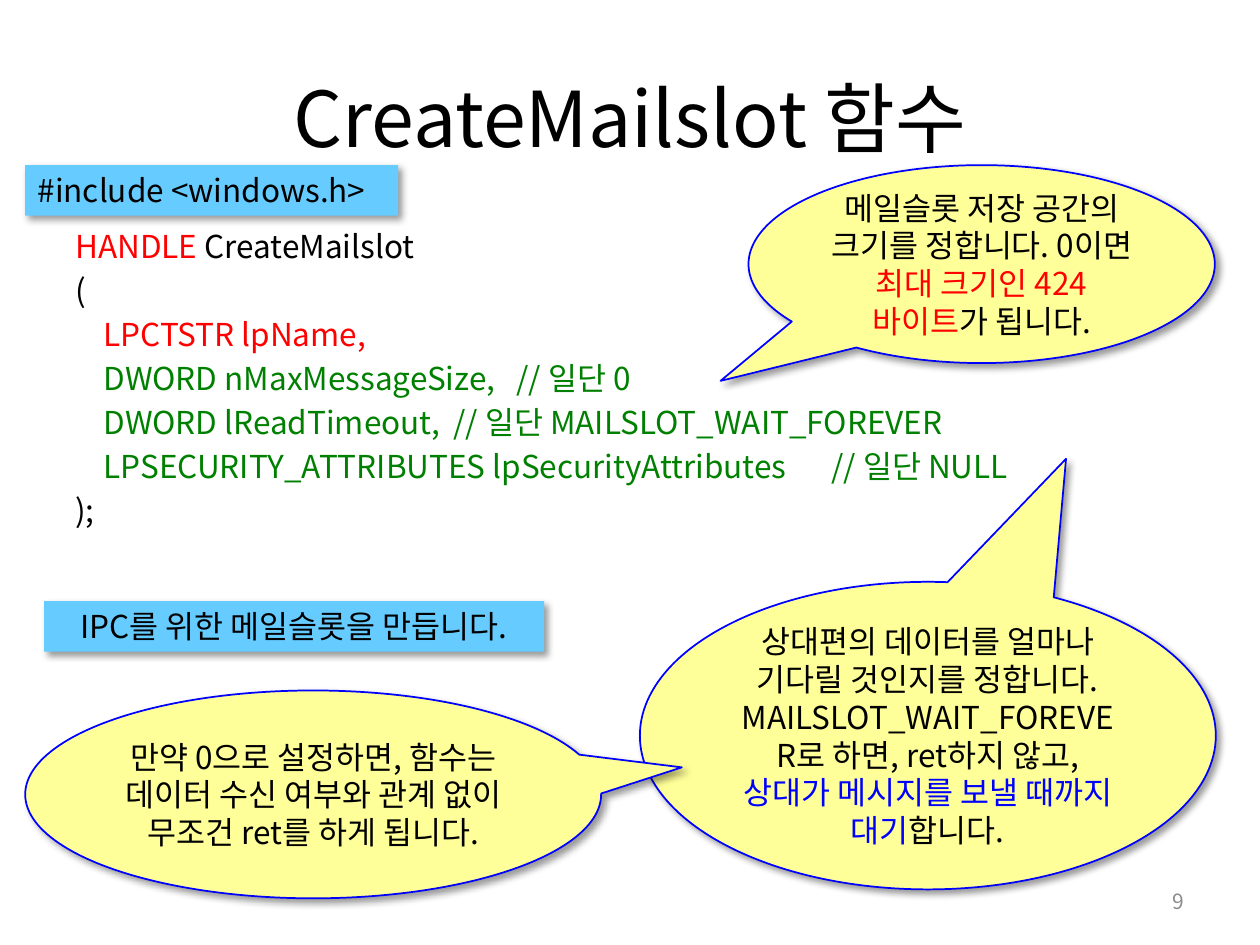
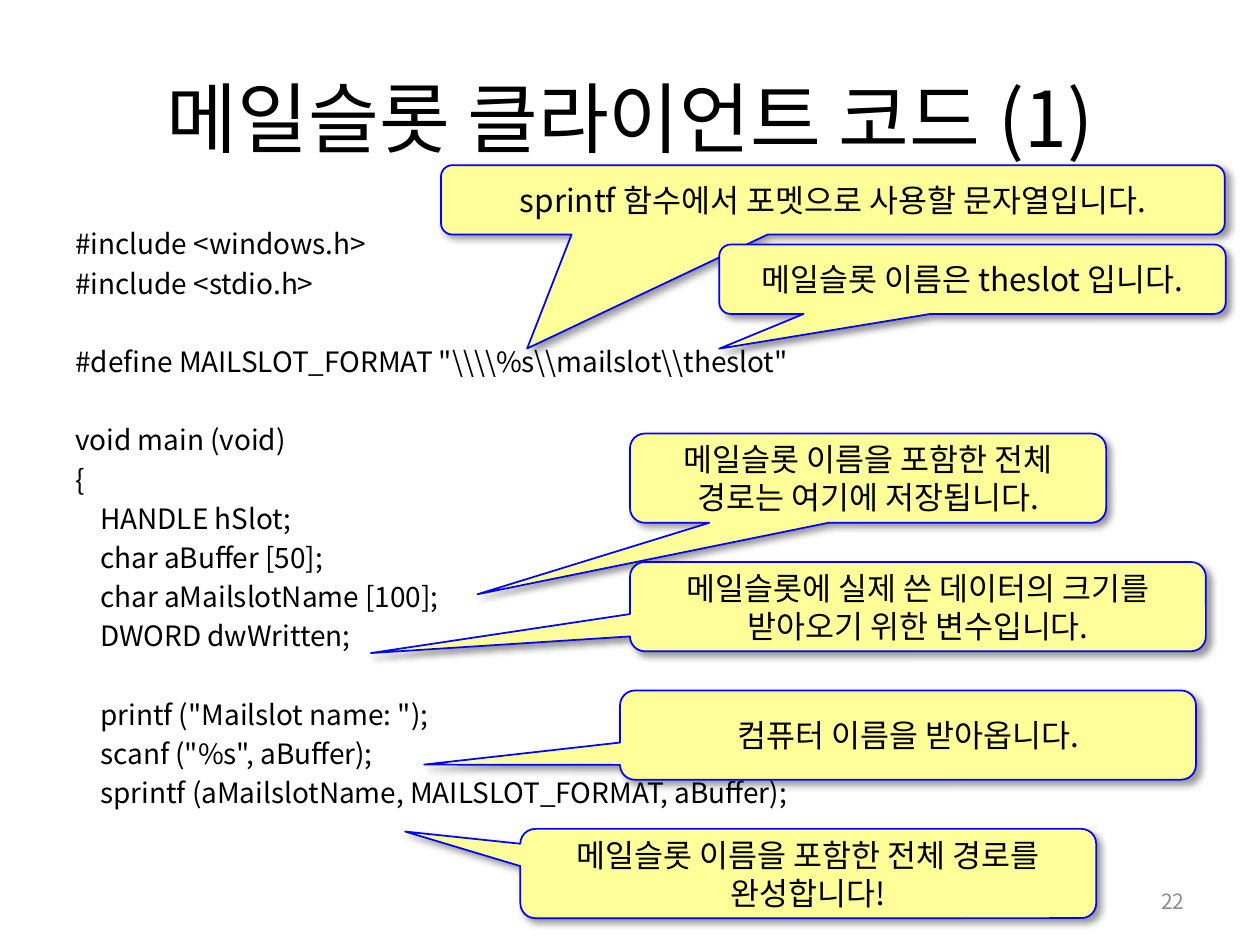
"""Build two lecture slides on mailslots: the create function and the client code."""
from lxml import etree
from pptx import Presentation
from pptx.dml.color import RGBColor
from pptx.enum.shapes import MSO_SHAPE
from pptx.enum.text import MSO_ANCHOR, PP_ALIGN
from pptx.oxml.ns import qn
from pptx.util import Cm, Pt

RECT = MSO_SHAPE.RECTANGLE
ELLIPSE = MSO_SHAPE.OVAL_CALLOUT
ROUNDED = MSO_SHAPE.ROUNDED_RECTANGULAR_CALLOUT
LEFT, CENTER, RIGHT = PP_ALIGN.LEFT, PP_ALIGN.CENTER, PP_ALIGN.RIGHT
TOP, MIDDLE = MSO_ANCHOR.TOP, MSO_ANCHOR.MIDDLE

FONT = "Noto Sans CJK KR"
LINE_HEIGHT = 1.2
PARAGRAPH_GAP = 0.2
COLORS = {
    "text": "000000", "key": "FF0000", "param": "008000", "accent": "0000FF",
    "number": "8C8C8C", "label": "66CCFF", "callout": "FFFF99", "shadow": "000000",
}
TITLE_BOX = (1.27, 0.76, 22.86, 3.18)
CODE_BOX = (1.27, 4.45, 22.86, 12.57)
NUMBER_BOX = (18.21, 17.65, 5.92, 1.02)

SLIDES = [
    {
        "title": "CreateMailslot 함수",
        "number": "9",
        "code_size": 18,
        "code": [[
            [("HANDLE ", "key"), ("CreateMailslot", "text")],
            [("(", "text")],
            [("    LPCTSTR lpName,", "key")],
            [("    DWORD nMaxMessageSize,\t// 일단 0", "param")],
            [("    DWORD lReadTimeout,\t// 일단 MAILSLOT_WAIT_FOREVER", "param")],
            [("    LPSECURITY_ATTRIBUTES lpSecurityAttributes\t// 일단 NULL", "param")],
            [(");", "text")],
        ]],
        "labels": [
            ((0.51, 3.33, 7.52, 1.02), LEFT, "#include <windows.h>"),
            ((0.89, 12.12, 10.08, 1.02), CENTER, "IPC를 위한 메일슬롯을 만듭니다."),
        ],
        "callout_shape": ELLIPSE,
        "callouts": [
            ((15.09, 3.33, 9.4, 3.99), (-0.56, 0.59),
             [("메일슬롯 저장 공간의 크기를 정합니다. 0이면 ", "text"),
              ("최대 크기인 424 바이트", "key"), ("가 됩니다.", "text")]),
            ((12.9, 11.73, 11.61, 6.2), (0.24, -0.9),
             [("상대편의 데이터를 얼마나 기다릴 것인지를 정합니다. "
               "MAILSLOT_WAIT_FOREVER로 하면, ret하지 않고, ", "text"),
              ("상대가 메시지를 보낼 때까지 대기", "accent"), ("합니다.", "text")]),
            ((0.51, 13.92, 11.61, 4.19), (0.64, -0.13),
             "만약 0으로 설정하면, 함수는 데이터 수신 여부와 관계 없이 무조건 ret를 하게 됩니다."),
        ],
    },
    {
        "title": "메일슬롯 클라이언트 코드 (1)",
        "number": "22",
        "code_size": 16,
        "code": [
            ["#include <windows.h>", "#include <stdio.h>"],
            [r'#define MAILSLOT_FORMAT "\\\\%s\\mailslot\\theslot"'],
            ["void main (void)", "{", "    HANDLE hSlot;", "    char aBuffer [50];",
             "    char aMailslotName [100];", "    DWORD dwWritten;"],
            ['    printf ("Mailslot name: ");', '    scanf ("%s", aBuffer);',
             "    sprintf (aMailslotName, MAILSLOT_FORMAT, aBuffer);"],
        ],
        "labels": [],
        "callout_shape": ROUNDED,
        "callouts": [
            ((12.7, 8.74, 9.6, 1.8), (-0.82, 1.3),
             "메일슬롯 이름을 포함한 전체 경로는 여기에 저장됩니다."),
            ((8.89, 3.33, 15.8, 1.4), (-0.39, 2.14),
             "sprintf 함수에서 포멧으로 사용할 문자열입니다."),
            ((14.5, 4.93, 10.21, 1.4), (-0.5, 1),
             "메일슬롯 이름은 theslot 입니다."),
            ((12.7, 11.33, 11.61, 1.8), (-0.95, 0.52),
             "메일슬롯에 실제 쓴 데이터의 크기를 받아오기 위한 변수입니다."),
            ((12.5, 13.92, 11.61, 1.8), (-0.84, 0.33), "컴퓨터 이름을 받아옵니다."),
            ((10.49, 16.71, 11.61, 1.8), (-0.7, -0.47),
             "메일슬롯 이름을 포함한 전체 경로를 완성합니다!"),
        ],
    },
]


def rgb(name):
    return RGBColor.from_string(COLORS[name])


def write_paragraph(p, runs, size, align=LEFT, color="text"):
    p.alignment = align
    p.line_spacing = Pt(size * LINE_HEIGHT)
    for text, run_color in [(runs, color)] if isinstance(runs, str) else runs:
        r = p.add_run()
        r.text = text
        r.font.size = Pt(size)
        r.font.name = FONT
        r.font.color.rgb = rgb(run_color)
        etree.SubElement(r.font._element, qn("a:ea"), typeface=FONT)


def prepare_frame(sp, anchor):
    tf = sp.text_frame
    tf.word_wrap = True
    tf.vertical_anchor = anchor
    return tf


def add_text(s, box, text, size, align, color="text"):
    tf = prepare_frame(s.shapes.add_textbox(*map(Cm, box)), MIDDLE)
    write_paragraph(tf.paragraphs[0], text, size, align, color)


def add_code(s, blocks, size):
    tf = prepare_frame(s.shapes.add_textbox(*map(Cm, CODE_BOX)), TOP)
    gap = size * PARAGRAPH_GAP
    block_gap = 2 * gap + size * LINE_HEIGHT
    for b, block in enumerate(blocks):
        for i, line in enumerate(block):
            first = b == i == 0
            p = tf.paragraphs[0] if first else tf.add_paragraph()
            if not first:
                p.space_before = Pt(gap if i else block_gap)
            write_paragraph(p, line, size)


def add_shadow(sp):
    sp.shadow.inherit = False
    effects = sp._element.spPr.find(qn("a:effectLst"))
    shadow = etree.SubElement(effects, qn("a:outerShdw"), blurRad=str(Pt(4)),
                              dist=str(Pt(3)), dir="2700000", algn="tl", rotWithShape="0")
    color = etree.SubElement(shadow, qn("a:srgbClr"), val=COLORS["shadow"])
    etree.SubElement(color, qn("a:alpha"), val="40000")


def add_note(s, shape, box, fill, runs, align=CENTER, anchor=MIDDLE):
    sp = s.shapes.add_shape(shape, *map(Cm, box))
    sp.fill.solid()
    sp.fill.fore_color.rgb = rgb(fill)
    sp.line.fill.background()
    add_shadow(sp)
    write_paragraph(prepare_frame(sp, anchor).paragraphs[0], runs, 18, align)
    return sp


def add_callout(s, shape, box, tip, runs):
    sp = add_note(s, shape, box, "callout", runs)
    sp.line.color.rgb = rgb("accent")
    sp.line.width = Pt(1)
    sp.adjustments[0], sp.adjustments[1] = tip


def main():
    prs = Presentation()
    prs.slide_width, prs.slide_height = Cm(25.4), Cm(19.05)
    for page in SLIDES:
        s = prs.slides.add_slide(prs.slide_layouts[6])
        add_text(s, TITLE_BOX, page["title"], 44, CENTER)
        add_code(s, page["code"], page["code_size"])
        add_text(s, NUMBER_BOX, page["number"], 12, RIGHT, "number")
        for box, align, text in page["labels"]:
            add_note(s, RECT, box, "label", text, align, TOP)
        for box, tip, runs in page["callouts"]:
            add_callout(s, page["callout_shape"], box, tip, runs)
    prs.save("out.pptx")


if __name__ == "__main__":
    main()
